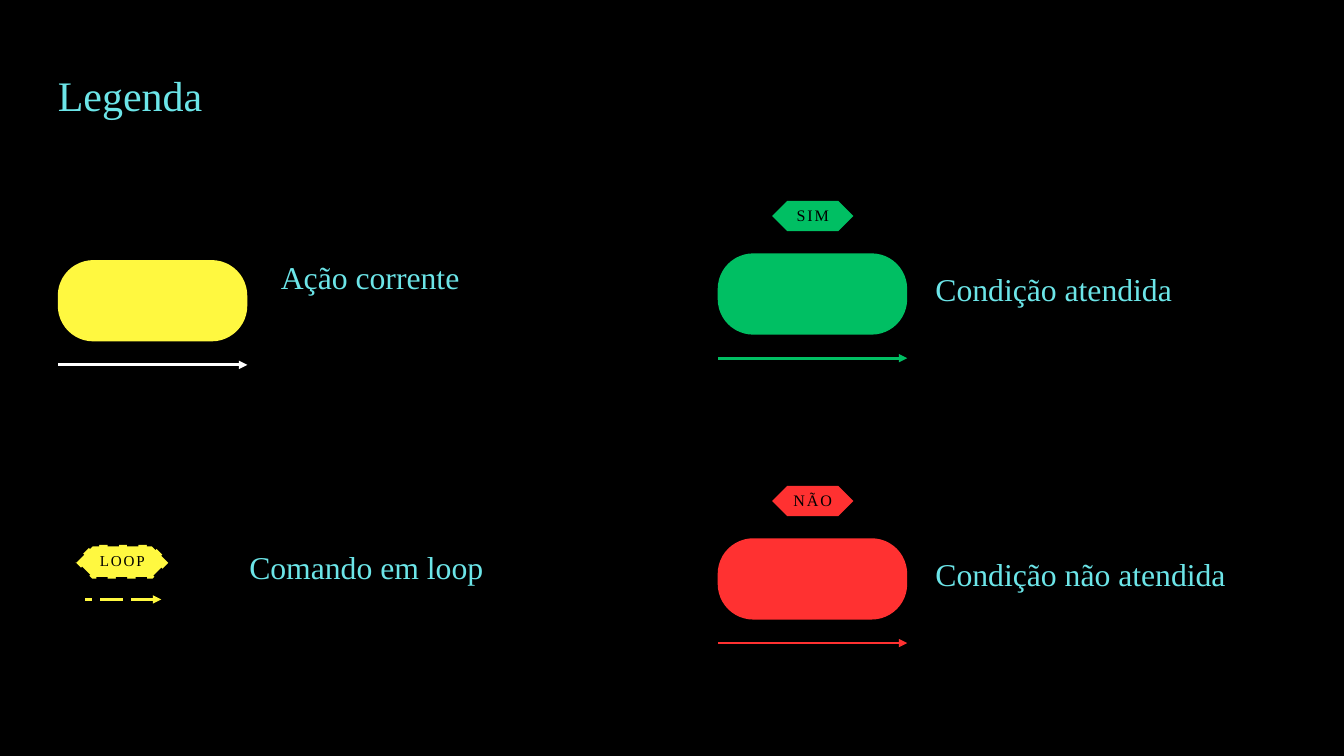
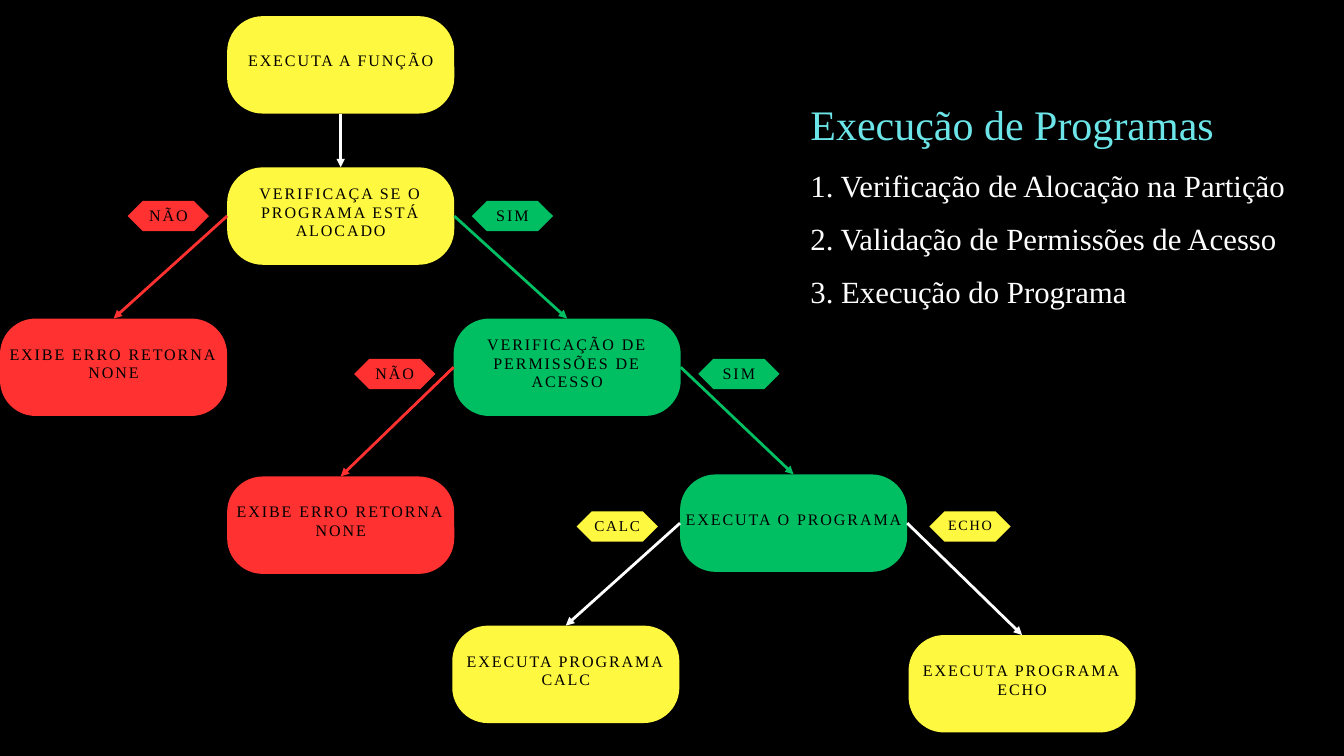
"""Builds a legend slide and a flowchart slide about running programs."""
import pptx
import pptx.util
import pptx.dml.color
import pptx.enum.dml
import pptx.enum.shapes
import pptx.enum.text
import pptx.oxml.ns
from dataclasses import dataclass
from lxml import etree
from pptx.util import Inches


@dataclass(frozen=True)
class Theme:
    font: str = "Times New Roman"
    black: str = "000000"
    white: str = "FFFFFF"
    body: str = "FDFDFD"
    cyan: str = "6CE5E8"
    yellow: str = "FFF840"
    green: str = "00BF63"
    red: str = "FF3131"
    title_size: float = 45
    list_size: float = 33
    legend_size: float = 34
    label_size: float = 17.2
    small_size: float = 16.2
    tiny_size: float = 15.2
    line_width: float = 3
    radius: float = 0.53


theme = Theme()
rgb = pptx.dml.color.RGBColor.from_string
ROUND = pptx.enum.shapes.MSO_SHAPE.ROUNDED_RECTANGLE
HEXAGON = pptx.enum.shapes.MSO_SHAPE.HEXAGON
ALIGN = pptx.enum.text.PP_ALIGN


def put(s, kind, box, fill=None, text="", size=theme.label_size, color=theme.black, leading=1.15):
    x, y, w, h = map(Inches, box)
    if kind is None:
        sp = s.shapes.add_textbox(x, y, w, h)
    else:
        sp = s.shapes.add_shape(kind, x, y, w, h)
        sp.shadow.inherit = False
        sp.fill.solid()
        sp.fill.fore_color.rgb = rgb(fill)
        sp.line.fill.background()
        sp.adjustments[0] = theme.radius / box[3] if kind == ROUND else 0.5
    if not text:
        return sp
    tf = sp.text_frame
    tf.margin_left = tf.margin_right = tf.margin_top = tf.margin_bottom = 0
    tf.word_wrap = kind is None
    if kind is None:
        tf.auto_size = pptx.enum.text.MSO_AUTO_SIZE.SHAPE_TO_FIT_TEXT
    else:
        tf.vertical_anchor = pptx.enum.text.MSO_ANCHOR.MIDDLE
        tf.margin_bottom = Inches(0.12 if kind == ROUND else 0.03)
    tf.text = text
    for p in tf.paragraphs:
        p.alignment = ALIGN.JUSTIFY if kind is None else ALIGN.CENTER
        p.line_spacing = pptx.util.Pt(round(size * leading, 1))
        p.font.name = theme.font
        p.font.size = pptx.util.Pt(size)
        p.font.color.rgb = rgb(color)
        if kind is not None:
            p._p.get_or_add_pPr().get_or_add_defRPr().set("spc", str(round(size * 12)))
    return sp


def arrow(s, color, tip=(0, 0), tail=(0, 0)):
    c = s.shapes.add_connector(pptx.enum.shapes.MSO_CONNECTOR.STRAIGHT, *map(Inches, tip + tail))
    c.line.color.rgb = rgb(color)
    c.line.width = pptx.util.Pt(theme.line_width)
    etree.SubElement(c.line._get_or_add_ln(), pptx.oxml.ns.qn("a:headEnd"), type="triangle")
    etree.SubElement(c._element.spPr, pptx.oxml.ns.qn("a:effectLst"))
    return c


prs = pptx.Presentation()
prs.slide_width, prs.slide_height = Inches(20), Inches(11.25)
prs.slide_master.background.fill.solid()
prs.slide_master.background.fill.fore_color.rgb = rgb(theme.black)
legend, flow = [prs.slides.add_slide(prs.slide_layouts[6]) for _ in range(2)]

put(legend, None, (0.86, 1.03, 2.82, 0.83), None, "Legenda", theme.title_size, theme.cyan, 1.2)
for x, y, fill, line, tag in [
    (0.86, 3.87, theme.yellow, theme.white, None),
    (10.68, 3.77, theme.green, theme.green, "SIM"),
    (10.68, 8.01, theme.red, theme.red, "NÃO"),
]:
    put(legend, ROUND, (x, y, 2.82, 1.21), fill)
    arrow(legend, line, (x + 2.82, y + 1.56), (x, y + 1.56))
    if tag:
        put(legend, HEXAGON, (x + 0.81, y - 0.78, 1.21, 0.45), fill, tag)

sp = put(legend, HEXAGON, (1.12, 8.11, 1.4, 0.5), theme.yellow, "LOOP", theme.small_size)
sp.line.color.rgb = rgb(theme.black)
sp.line.width = pptx.util.Pt(theme.line_width)
sp.line.dash_style = pptx.enum.dml.MSO_LINE.DASH
c = arrow(legend, theme.yellow, (2.4, 8.92), (1.26, 8.92))
c.line.dash_style = pptx.enum.dml.MSO_LINE.LONG_DASH

for x, y, w, text in [
    (4.18, 3.83, 3.46, "Ação corrente"),
    (13.92, 4.02, 4.1, "Condição atendida"),
    (3.71, 8.15, 4.37, "Comando em loop"),
    (13.92, 8.26, 4.69, "Condição não atendida"),
]:
    put(legend, None, (x, y, w, 0.64), None, text, theme.legend_size, theme.cyan, 1.2)

put(flow, None, (12.06, 1.34, 7.02, 0.93), None, "Execução de Programas", theme.title_size, theme.cyan, 1.4)
steps = [
    "1. Verificação de Alocação na Partição",
    "2. Validação de Permissões de Acesso",
    "3. Execução do Programa",
]
put(flow, None, (12.06, 2.24, 7.53, 2.36), None, "\n".join(steps), theme.list_size, theme.body, 1.72)

nodes = {}
for name, x, y, fill, text in [
    ("start", 3.38, 0.24, theme.yellow, "EXECUTA A FUNÇÃO"),
    ("allocated", 3.38, 2.49, theme.yellow, "VERIFICAÇA SE O\vPROGRAMA ESTÁ\vALOCADO"),
    ("permitted", 6.75, 4.74, theme.green, "VERIFICAÇÃO DE\vPERMISSÕES DE\vACESSO"),
    ("not allocated", 0, 4.74, theme.red, "EXIBE ERRO RETORNA\vNONE"),
    ("run", 10.12, 7.06, theme.green, "EXECUTA O PROGRAMA"),
    ("not permitted", 3.38, 7.09, theme.red, "EXIBE ERRO RETORNA\vNONE"),
    ("echo", 13.52, 9.45, theme.yellow, "EXECUTA PROGRAMA\vECHO"),
    ("calc", 6.73, 9.31, theme.yellow, "EXECUTA PROGRAMA\vCALC"),
]:
    nodes[name] = put(flow, ROUND, (x, y, 3.38, 1.45), fill, text)

BOTTOM, LEFT, RIGHT = 2, 1, 3
for parent, side, child, color in [
    ("start", BOTTOM, "allocated", theme.white),
    ("allocated", LEFT, "not allocated", theme.red),
    ("allocated", RIGHT, "permitted", theme.green),
    ("permitted", LEFT, "not permitted", theme.red),
    ("permitted", RIGHT, "run", theme.green),
    ("run", LEFT, "calc", theme.white),
    ("run", RIGHT, "echo", theme.white),
]:
    c = arrow(flow, color)
    c.begin_connect(nodes[child], 0)
    c.end_connect(nodes[parent], side)

for x, y, fill, text, size in [
    (1.9, 2.99, theme.red, "NÃO", theme.label_size),
    (7.02, 2.99, theme.green, "SIM", theme.label_size),
    (5.27, 5.34, theme.red, "NÃO", theme.label_size),
    (10.39, 5.34, theme.green, "SIM", theme.label_size),
    (8.58, 7.61, theme.yellow, "CALC", theme.small_size),
    (13.83, 7.61, theme.yellow, "ECHO", theme.tiny_size),
]:
    put(flow, HEXAGON, (x, y, 1.21, 0.45), fill, text, size)

prs.save("out.pptx")
